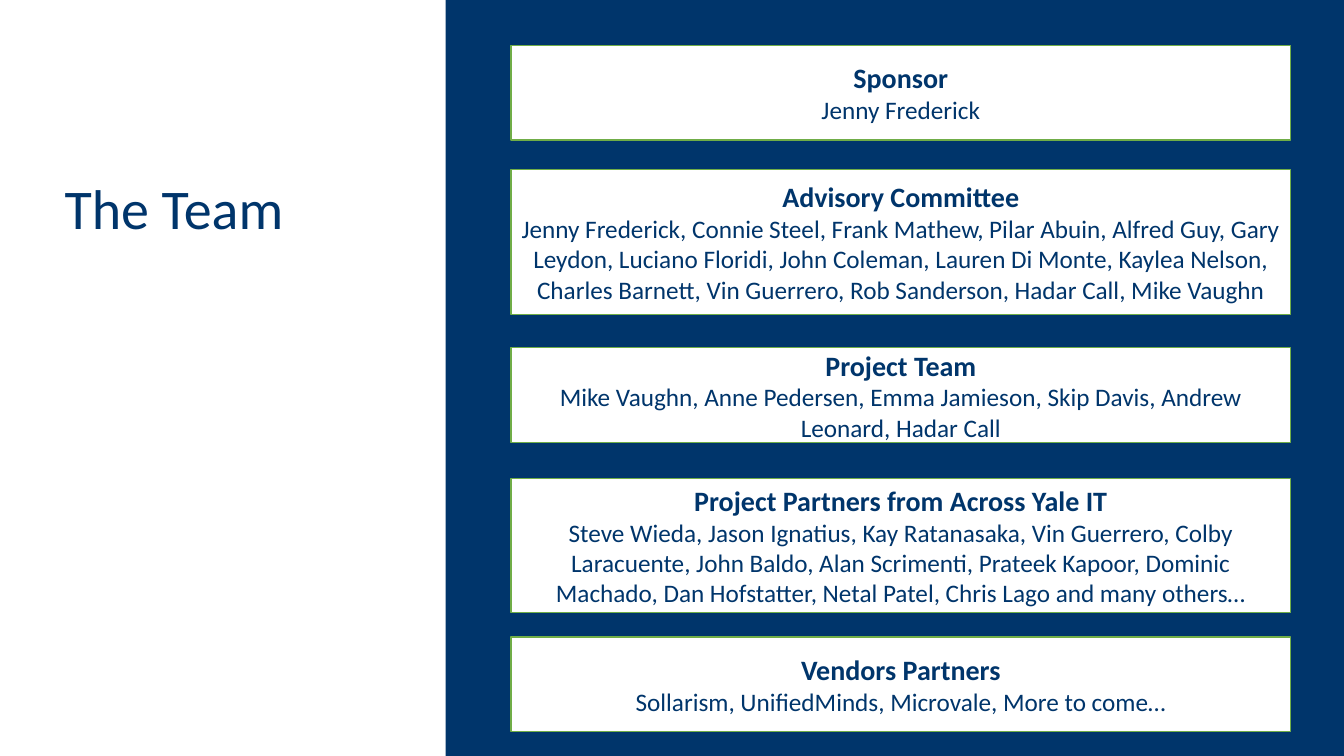
from pptx import Presentation
from pptx.dml.color import RGBColor
from pptx.enum.shapes import MSO_SHAPE as Preset
from pptx.enum.text import MSO_ANCHOR as Anchor, MSO_AUTO_SIZE as AutoSize, PP_ALIGN as Align
from pptx.util import Inches, Pt

TITLE = "The Team"
GROUPS = [
    ("Sponsor", "Jenny Frederick", 0.45, 0.94),
    ("Advisory Committee",
     "Jenny Frederick, Connie Steel, Frank Mathew, Pilar Abuin, Alfred Guy, Gary Leydon, "
     "Luciano Floridi, John Coleman, Lauren Di Monte, Kaylea Nelson, Charles Barnett, "
     "Vin Guerrero, Rob Sanderson, Hadar Call, Mike Vaughn", 1.68, 1.44),
    ("Project Team",
     "Mike Vaughn, Anne Pedersen, Emma Jamieson, Skip Davis, Andrew Leonard, Hadar Call",
     3.45, 0.94),
    ("Project Partners from Across Yale IT",
     "Steve Wieda, Jason Ignatius, Kay Ratanasaka, Vin Guerrero, Colby Laracuente, "
     "John Baldo, Alan Scrimenti, Prateek Kapoor, Dominic Machado, Dan Hofstatter, "
     "Netal Patel, Chris Lago and many others…", 4.75, 1.33),
    ("Vendors Partners", "Sollarism, UnifiedMinds, Microvale, More to come…", 6.32, 0.94),
]

NAVY = RGBColor(0x00, 0x35, 0x6B)
GREEN = RGBColor(0x70, 0xAD, 0x47)
WHITE = RGBColor(0xFF, 0xFF, 0xFF)
FONT = "Calibri"
SLIDE_WIDTH, SLIDE_HEIGHT = 13.33, 7.5
PANEL_LEFT = 4.42
BOX_LEFT, BOX_WIDTH = 5.07, 7.73


def write(para, text, size, bold=False, align=Align.CENTER):
    para.alignment = align
    span = para.add_run()
    span.text = text
    span.font.name = FONT
    span.font.size = Pt(size)
    span.font.bold = bold
    span.font.color.rgb = NAVY


def add_box(page, left, top, width, height, fill, line=None):
    box = page.shapes.add_shape(
        Preset.RECTANGLE, Inches(left), Inches(top), Inches(width), Inches(height))
    box.shadow.inherit = False
    box.fill.solid()
    box.fill.fore_color.rgb = fill
    if line is None:
        box.line.fill.background()
    else:
        box.line.color.rgb = line
        box.line.width = Pt(1)
    return box


def add_title(page):
    title = page.shapes.title
    title.left, title.top = Inches(0.54), Inches(1.75)
    title.width, title.height = Inches(3.32), Inches(1.51)
    frame = title.text_frame
    frame.word_wrap = True
    frame.auto_size = AutoSize.NONE
    frame.vertical_anchor = Anchor.TOP
    para = frame.paragraphs[0]
    para.line_spacing = 0.9
    write(para, TITLE, 40, align=Align.LEFT)


def add_group(page, heading, members, top, height):
    box = add_box(page, BOX_LEFT, top, BOX_WIDTH, height, WHITE, GREEN)
    frame = box.text_frame
    frame.word_wrap = True
    frame.vertical_anchor = Anchor.MIDDLE
    write(frame.paragraphs[0], heading, 20, bold=True)
    write(frame.add_paragraph(), members, 18)


def main():
    deck = Presentation()
    deck.slide_width, deck.slide_height = Inches(SLIDE_WIDTH), Inches(SLIDE_HEIGHT)
    page = deck.slides.add_slide(deck.slide_layouts[5])
    add_box(page, PANEL_LEFT, 0, SLIDE_WIDTH - PANEL_LEFT, SLIDE_HEIGHT, NAVY)
    add_title(page)
    for group in GROUPS:
        add_group(page, *group)
    deck.save("out.pptx")


if __name__ == "__main__":
    main()
